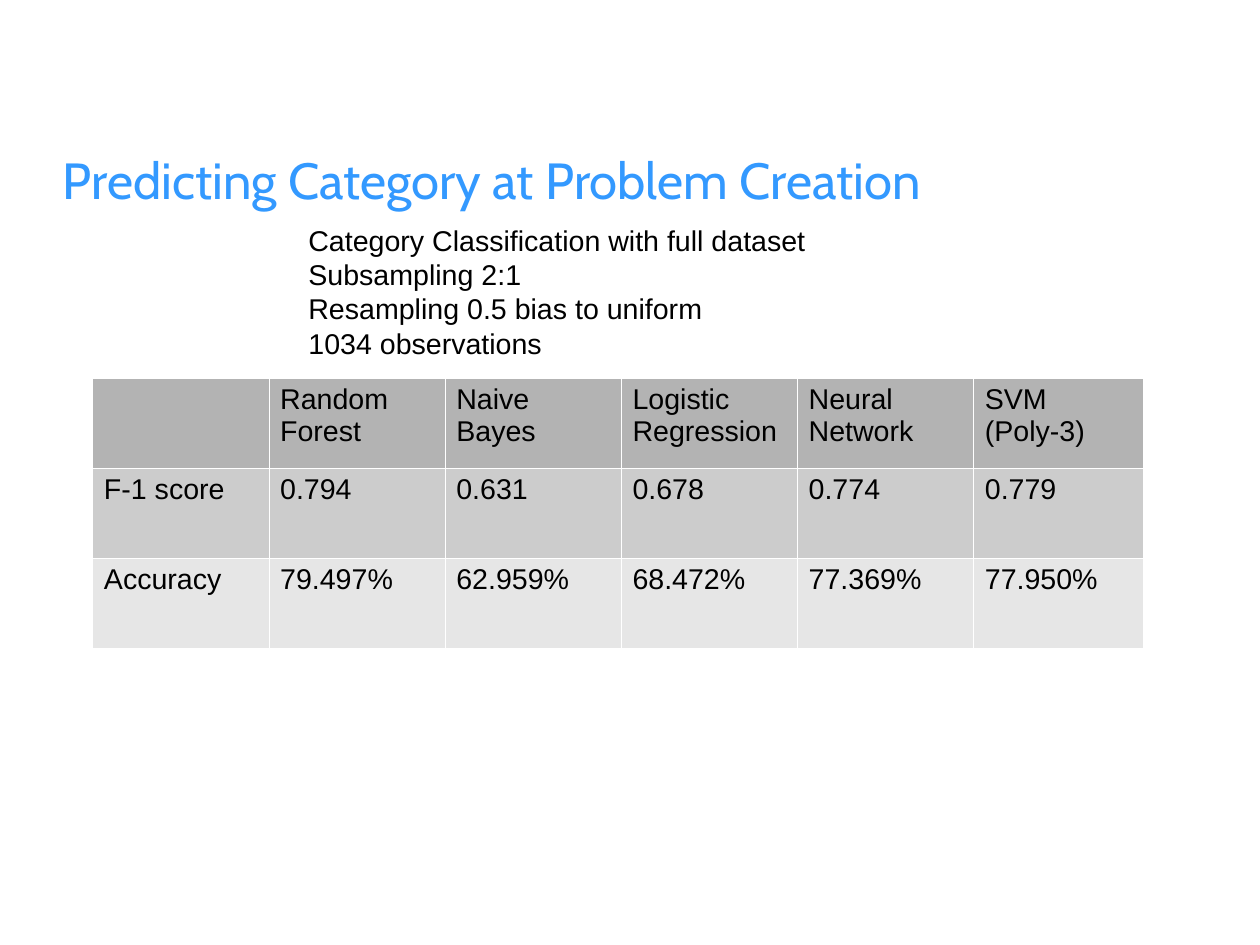
import pptx
import pptx.dml.color
import pptx.enum.text
import pptx.oxml
import pptx.oxml.ns
import pptx.util
from pptx.util import Inches

TITLE = "Predicting Category at Problem Creation"
SETUP_LINES = [
    "Category Classification with full dataset",
    "Subsampling 2:1",
    "Resampling 0.5 bias to uniform",
    "1034 observations",
]
RESULTS = [
    ["", "Random Forest", "Naive Bayes", "Logistic Regression", "Neural Network", "SVM\n(Poly-3)"],
    ["F-1 score", "0.794", "0.631", "0.678", "0.774", "0.779"],
    ["Accuracy", "79.497%", "62.959%", "68.472%", "77.369%", "77.950%"],
]
ROW_FILLS = ["B3B3B3", "CCCCCC", "E6E6E6"]
COLUMN_WIDTHS = [1.54] * 5 + [1.48]
BORDER_POINTS = 0.06


def color(value):
    return pptx.dml.color.RGBColor.from_string(value)


def format_text(text_frame, font_name, size, font_color):
    for paragraph in text_frame.paragraphs:
        paragraph.alignment = pptx.enum.text.PP_ALIGN.LEFT
        for run in paragraph.runs:
            run.font.name = font_name
            run.font.size = pptx.util.Pt(size)
            run.font.color.rgb = color(font_color)


def set_borders(cell, line_color):
    properties = cell._tc.get_or_add_tcPr()
    width = pptx.util.Pt(BORDER_POINTS)
    for position, side in enumerate(("lnL", "lnR", "lnT", "lnB")):
        border = pptx.oxml.parse_xml(
            f'<a:{side} {pptx.oxml.ns.nsdecls("a")} w="{width}"><a:solidFill>'
            f'<a:srgbClr val="{line_color}"/></a:solidFill></a:{side}>'
        )
        properties.insert(position, border)


def add_title(slide, left, top, width, height):
    title = slide.shapes.title
    title.left, title.top = Inches(left), Inches(top)
    title.width, title.height = Inches(width), Inches(height)
    text_frame = title.text_frame
    text_frame.text = TITLE
    text_frame.word_wrap = True
    text_frame.auto_size = pptx.enum.text.MSO_AUTO_SIZE.NONE
    text_frame.vertical_anchor = pptx.enum.text.MSO_ANCHOR.MIDDLE
    text_frame.margin_left = text_frame.margin_right = 0
    text_frame.margin_top = text_frame.margin_bottom = 0
    format_text(text_frame, "Cabin", 32, "3399FF")


def add_results_table(slide, left, top, width, height):
    frame = slide.shapes.add_table(
        len(RESULTS), len(COLUMN_WIDTHS), Inches(left), Inches(top), Inches(width), Inches(height)
    )
    table = frame.table
    table.first_row = False
    table.horz_banding = False
    for column, column_width in zip(table.columns, COLUMN_WIDTHS):
        column.width = Inches(column_width * width / sum(COLUMN_WIDTHS))
    for row, values, fill in zip(table.rows, RESULTS, ROW_FILLS):
        for cell, value in zip(row.cells, values):
            cell.text = value
            cell.fill.solid()
            cell.fill.fore_color.rgb = color(fill)
            set_borders(cell, "FFFFFF")
            format_text(cell.text_frame, "Arial", 18, "000000")


def add_setup_text(slide, left, top, width, height):
    box = slide.shapes.add_textbox(Inches(left), Inches(top), Inches(width), Inches(height))
    box.text_frame.word_wrap = True
    box.text_frame.text = "\n".join(SETUP_LINES)
    format_text(box.text_frame, "Arial", 18, "000000")


def main():
    presentation = pptx.Presentation()
    presentation.slide_width = pptx.util.Cm(28)
    presentation.slide_height = pptx.util.Cm(21)
    slide = presentation.slides.add_slide(presentation.slide_layouts[5])
    add_title(slide, 0.55, 0.88, 9.92, 1.38)
    add_results_table(slide, 0.81, 3.31, 9.19, 2.36)
    add_setup_text(slide, 2.6, 1.9, 6.3, 1.58)
    presentation.save("out.pptx")


if __name__ == "__main__":
    main()
